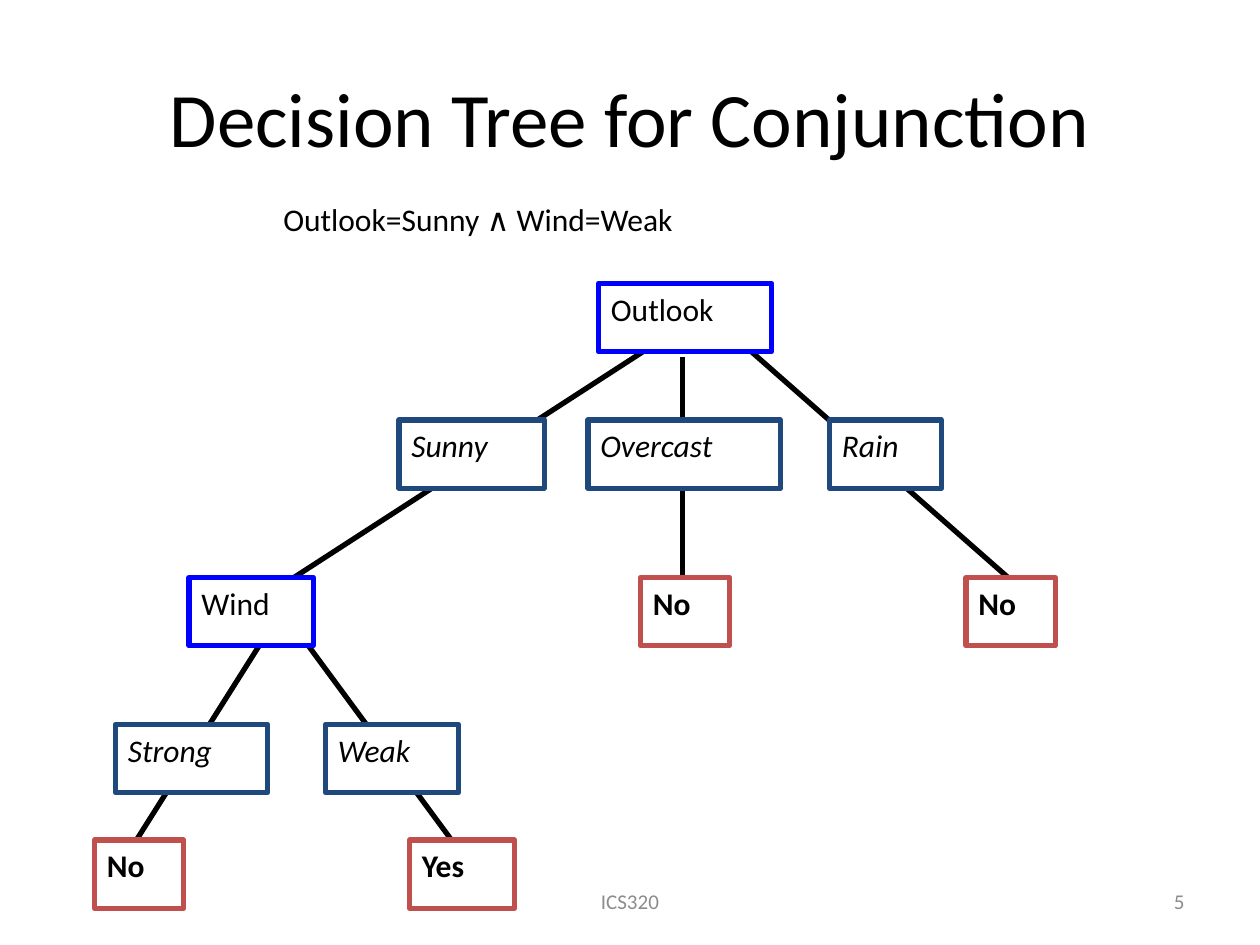
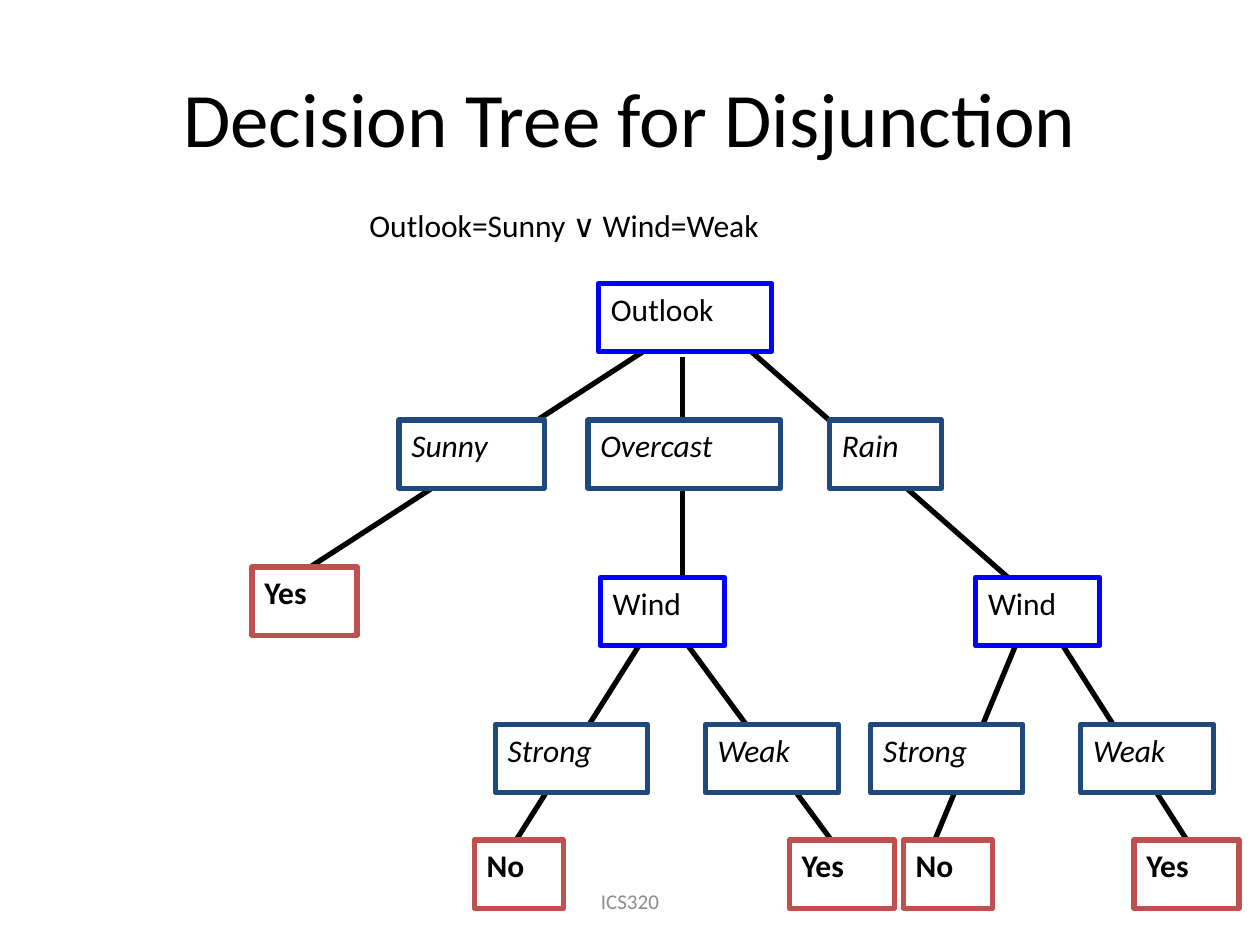
import dataclasses
import pptx
import pptx.util
import pptx.dml.color
import pptx.enum.shapes
import pptx.enum.text
import lxml.etree

Pt = pptx.util.Pt
Color = pptx.dml.color.RGBColor.from_string
Align = pptx.enum.text.PP_ALIGN
Anchor = pptx.enum.text.MSO_ANCHOR
Auto = pptx.enum.text.MSO_AUTO_SIZE


@dataclasses.dataclass(frozen=True)
class Theme:
    face: str = "Calibri"
    ink: str = "000000"
    paper: str = "FFFFFF"
    gray: str = "8C8C8C"
    test: str = "0000FF"
    value: str = "1F497D"
    answer: str = "C0504D"
    title: int = 44
    body: int = 18
    foot: int = 12
    stroke: int = 3
    tall: int = 39


theme = Theme()
kinds = {
    "test": {"bold": False, "italic": False},
    "value": {"bold": False, "italic": True},
    "answer": {"bold": True, "italic": False},
}
wides = {"Outlook": 99, "Sunny": 83, "Overcast": 110, "Rain": 64,
         "Wind": 71, "Strong": 87, "Weak": 76, "No": 51, "Yes": 60}


def assign(item, values):
    for name, value in values.items():
        setattr(item, name, value)


def write(shape, text, size, color=theme.ink, align=Align.LEFT,
          anchor=Anchor.TOP, style=None):
    frame = shape.text_frame
    assign(frame, {"word_wrap": True, "auto_size": Auto.NONE,
                   "vertical_anchor": anchor})
    line = frame.paragraphs[0]
    line.alignment = align
    run = line.add_run()
    run.text = text
    assign(run.font, {"name": theme.face, "size": Pt(size), **(style or {})})
    run.font.color.rgb = Color(color)


def label(slide, box, text, **format):
    write(slide.shapes.add_textbox(*map(Pt, box)), text, **format)


def node(slide, kind, text, left, top):
    shape = slide.shapes.add_shape(
        pptx.enum.shapes.MSO_SHAPE.RECTANGLE,
        Pt(left), Pt(top), Pt(wides[text]), Pt(theme.tall))
    shape.shadow.inherit = False
    shape.fill.solid()
    shape.fill.fore_color.rgb = Color(theme.paper)
    shape.line.color.rgb = Color(getattr(theme, kind))
    shape.line.width = Pt(theme.stroke)
    write(shape, text, theme.body, style=kinds[kind])


def edge(slide, left, top, start, end):
    link = slide.shapes.add_connector(
        pptx.enum.shapes.MSO_CONNECTOR.STRAIGHT,
        Pt(left + start[0]), Pt(top + start[1]),
        Pt(left + end[0]), Pt(top + end[1]))
    link.line.color.rgb = Color(theme.ink)
    link.line.width = Pt(theme.stroke)
    props = link._element.spPr
    lxml.etree.SubElement(props, pptx.oxml.ns.qn("a:effectLst"))


def trunk(slide, left=228, top=162):
    for start, end in (((144, 36), (-60, 168)), ((198, 36), (348, 168)),
                       ((162, 42), (162, 168))):
        edge(slide, left, top, start, end)
    node(slide, "test", "Outlook", left + 114, top)
    for text, shift in (("Sunny", 0), ("Overcast", 108), ("Rain", 246)):
        node(slide, "value", text, left + shift, top + 78)


def branch(slide, left, root=60, feet=(12, 192), leaves=(-12, 168), top=330):
    for start, foot in zip((84, 108), feet):
        edge(slide, left, top, (start, 36), (foot, 150))
    node(slide, "test", "Wind", left + root, top)
    for text, shift in (("Strong", 0), ("Weak", 120)):
        node(slide, "value", text, left + shift, top + 84)
    for text, shift in zip(("No", "Yes"), leaves):
        node(slide, "answer", text, left + shift, top + 150)


def page(deck, title, rule, spot, number=None):
    slide = deck.slides.add_slide(deck.slide_layouts[5])
    label(slide, (246, 500.5, 228, 29), "ICS320", size=theme.foot,
          color=theme.gray, align=Align.CENTER, anchor=Anchor.MIDDLE)
    if number:
        label(slide, (516, 500.5, 168, 29), number, size=theme.foot,
              color=theme.gray, align=Align.RIGHT, anchor=Anchor.MIDDLE)
    head = slide.shapes.title
    assign(head, {"left": Pt(36), "top": Pt(21.6),
                  "width": Pt(648), "height": Pt(90)})
    write(head, title, theme.title, align=Align.CENTER, anchor=Anchor.MIDDLE)
    label(slide, (*spot, 339, 36), rule, size=theme.body)
    trunk(slide)
    return slide


def both(deck):
    slide = page(deck, "Decision Tree for Conjunction",
                 "Outlook=Sunny ∧ Wind=Weak", (154.8, 111), "5")
    branch(slide, 66, root=42)
    for left in (366, 552):
        node(slide, "answer", "No", left, 330)


def either(deck):
    slide = page(deck, "Decision Tree for Disjunction",
                 "Outlook=Sunny ∨ Wind=Weak", (204, 114))
    node(slide, "answer", "Yes", 144, 324)
    branch(slide, 283)
    branch(slide, 497.5, feet=(36.7, 180.7), leaves=(18.7, 150.5))


def main():
    deck = pptx.Presentation()
    assign(deck, {"slide_width": Pt(720), "slide_height": Pt(540)})
    both(deck)
    either(deck)
    deck.save("out.pptx")


if __name__ == "__main__":
    main()
